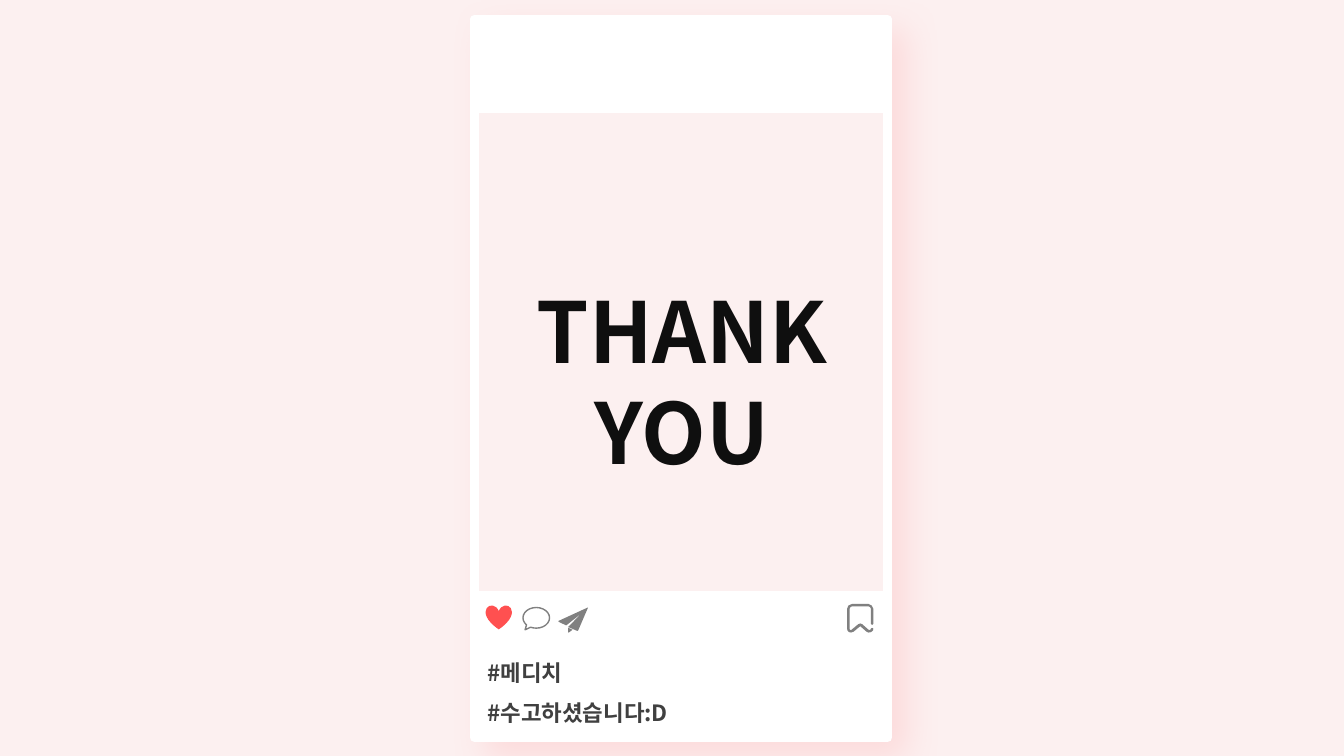
from lxml import etree
from pptx import Presentation
from pptx.dml.color import RGBColor
from pptx.enum.shapes import MSO_SHAPE
from pptx.enum.text import PP_ALIGN
from pptx.oxml import parse_xml
from pptx.oxml.ns import nsdecls, qn
from pptx.util import Cm, Pt

FONT = "Noto Sans CJK KR"
BLUSH = RGBColor(0xFC, 0xF0, 0xF0)
WHITE = RGBColor(0xFF, 0xFF, 0xFF)
GRAY = RGBColor(0x80, 0x80, 0x80)
RED = RGBColor(0xFF, 0x50, 0x50)
BLACK = RGBColor(0x0F, 0x0F, 0x0F)
DARK = RGBColor(0x40, 0x40, 0x40)

prs = Presentation()
prs.slide_width = Cm(33.87)
prs.slide_height = Cm(19.05)
s = prs.slides.add_slide(prs.slide_layouts[6])
s.background.fill.solid()
s.background.fill.fore_color.rgb = BLUSH


def add_text(text, left, top, width, height, size, color, align=PP_ALIGN.LEFT,
             spacing=1.0, inset=0.25):
    tf = s.shapes.add_textbox(Cm(left), Cm(top), Cm(width), Cm(height)).text_frame
    tf.word_wrap = True
    tf.margin_left = Cm(inset)
    tf.text = text
    for p in tf.paragraphs:
        p.alignment = align
        p.line_spacing = spacing
        for r in p.runs:
            r.font.name = FONT
            r.font.size = Pt(size)
            r.font.bold = True
            r.font.color.rgb = color
            ea = etree.SubElement(r.font._element, qn("a:ea"))
            ea.set("typeface", FONT)


def paint(sp, fill=None, line=None, width=1):
    sp.shadow.inherit = False
    if fill is None:
        sp.fill.background()
    else:
        sp.fill.solid()
        sp.fill.fore_color.rgb = fill
    if line is None:
        sp.line.fill.background()
    else:
        sp.line.color.rgb = line
        sp.line.width = Pt(width)


post = s.shapes.add_group_shape()

card = post.shapes.add_shape(MSO_SHAPE.RECTANGLE, Cm(11.96), Cm(0.48), Cm(10.41), Cm(18.11))
paint(card, WHITE, WHITE, 6.25)
card._element.spPr.find(qn("a:effectLst")).append(parse_xml(
    f'<a:outerShdw {nsdecls("a")} blurRad="{Pt(24)}" dist="{Pt(15)}" dir="2700000" '
    'algn="tl" rotWithShape="0"><a:srgbClr val="FFBBBC"><a:alpha val="40000"/>'
    '</a:srgbClr></a:outerShdw>'))

photo = post.shapes.add_shape(MSO_SHAPE.RECTANGLE, Cm(11.96), Cm(2.74), Cm(10.41), Cm(12.27))
paint(photo, BLUSH, WHITE, 6.25)

bookmark = [[
    (0, 12), (3, 4), (12, 0), (54, 0), (62, 4), (66, 12), (66, 50), (63, 53),
    (60, 50), (60, 12), (58, 8), (54, 6), (12, 6), (8, 8), (6, 12), (6, 63),
    (8, 66), (11, 65), (28, 51), (33, 49), (38, 51), (54, 65), (58, 66),
    (60, 62), (63, 60), (66, 62), (65, 67), (60, 71), (54, 72), (49, 70),
    (33, 56), (16, 70), (10, 72), (5, 71), (1, 67), (0, 63)]]
paper_plane = [
    [(25, 51), (36, 56), (28, 62), (25, 63)],
    [(75, 0), (50, 58), (48, 59), (25, 49), (58, 15), (20, 45), (1, 36), (0, 34), (74, 0)]]

for outlines, left, top in [(bookmark, 21.35, 15.22), (paper_plane, 14.07, 15.31)]:
    builder = post.shapes.build_freeform(*outlines[0][0], scale=Cm(0.01))
    builder.add_line_segments(outlines[0][1:])
    for outline in outlines[1:]:
        builder.move_to(*outline[0])
        builder.add_line_segments(outline[1:])
    paint(builder.convert_to_shape(Cm(left), Cm(top)), GRAY)

bubble = post.shapes.add_shape(MSO_SHAPE.OVAL_CALLOUT, Cm(13.18), Cm(15.31), Cm(0.67), Cm(0.52))
bubble.adjustments[0] = -0.42
bubble.adjustments[1] = 0.58
paint(bubble, line=GRAY)

heart = s.shapes.add_shape(MSO_SHAPE.HEART, Cm(12.24), Cm(15.25), Cm(0.66), Cm(0.61))
paint(heart, RED)

add_text("THANK YOU", 12.65, 6.93, 9.07, 5.38, 60, BLACK, align=PP_ALIGN.CENTER)
add_text("#메디치\n#수고하셨습니다:D", 11.91, 16.15, 6.38, 2.21, 16, DARK, spacing=1.5, inset=0.38)

prs.save("out.pptx")
